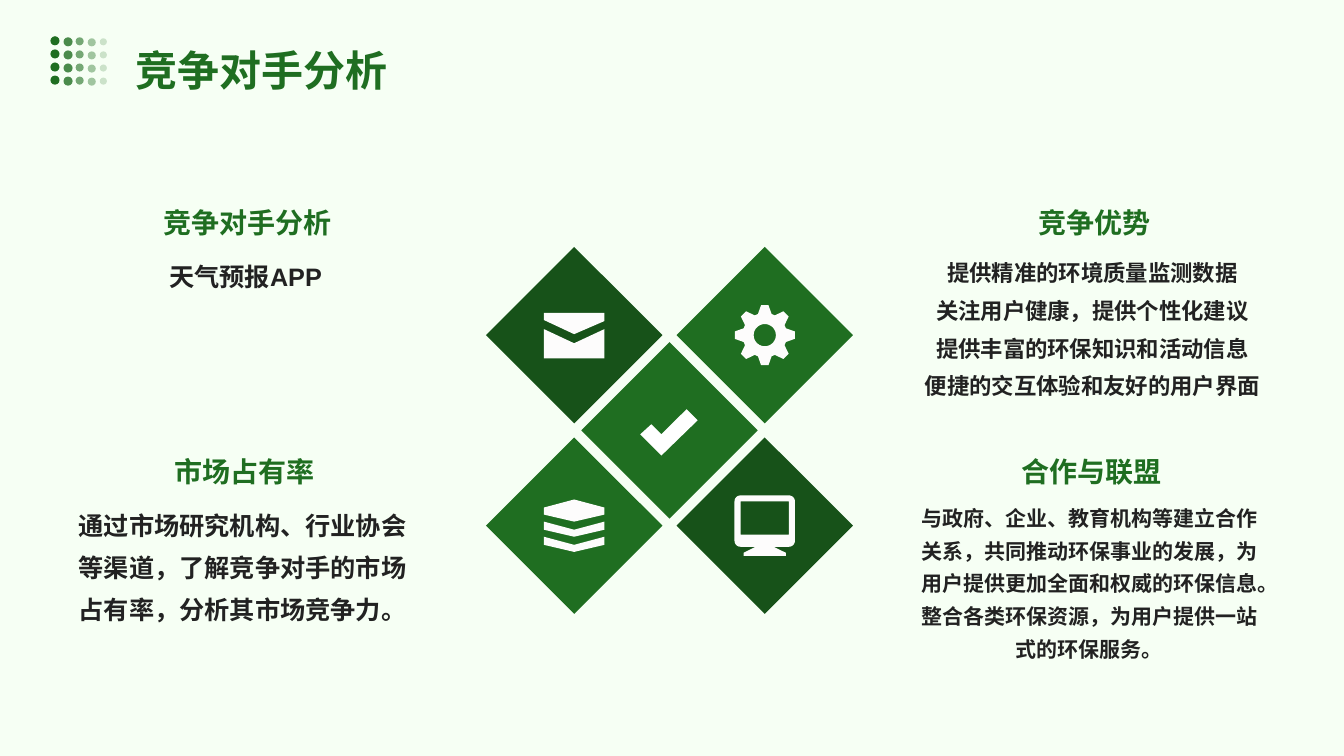
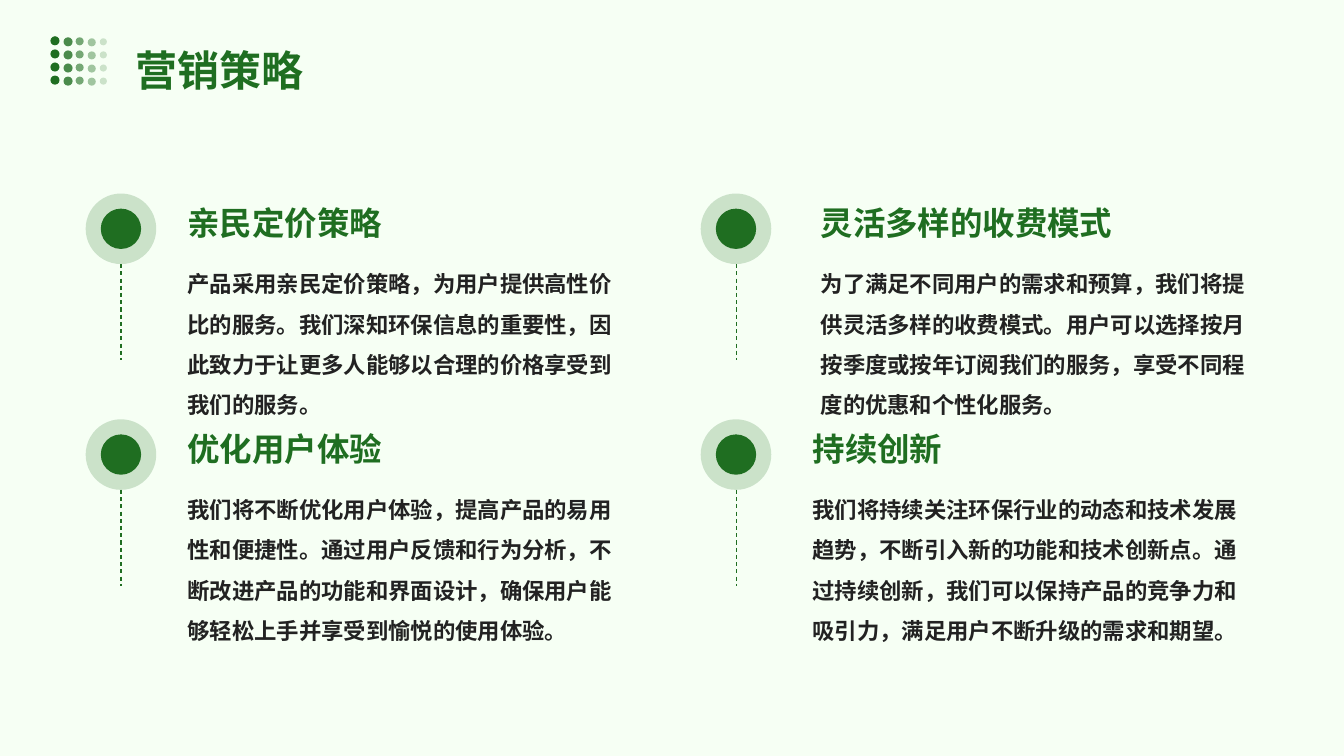
from math import cos, radians, sin

from lxml import etree
from pptx import Presentation
from pptx.dml.color import RGBColor
from pptx.enum.dml import MSO_LINE
from pptx.enum.shapes import MSO_CONNECTOR, MSO_SHAPE
from pptx.enum.text import MSO_ANCHOR, MSO_AUTO_SIZE, PP_ALIGN
from pptx.oxml.ns import qn
from pptx.util import Inches, Pt

OVAL, DIAMOND = MSO_SHAPE.OVAL, MSO_SHAPE.DIAMOND
STRAIGHT, DASH = MSO_CONNECTOR.STRAIGHT, MSO_LINE.DASH
LEFT, CENTER = PP_ALIGN.LEFT, PP_ALIGN.CENTER
TOP, MIDDLE = MSO_ANCHOR.TOP, MSO_ANCHOR.MIDDLE
GROW, FIXED = MSO_AUTO_SIZE.SHAPE_TO_FIT_TEXT, MSO_AUTO_SIZE.NONE

PAPER, GREEN, DARK_GREEN = "F6FFF4", "1F6E21", "175219"
INK, ICON, WHITE = "222222", "FDFCFC", "FFFFFF"
HEAD_FONT, BODY_FONT = "Noto Sans CJK JP", "Noto Sans CJK SC"
ROOMY = (0.14, 0.14, 0.06, 0.14)
SNUG = (0.1, 0.05, 0.1, 0.05)


def color(hex_string):
    return RGBColor.from_string(hex_string)


def write(frame, text, *, size, ink=INK, latin=BODY_FONT, asian=BODY_FONT,
          spacing=1.0, align=LEFT):
    """Write each line of the text as one bold paragraph."""
    for number, line in enumerate(text.split("\n")):
        paragraph = frame.add_paragraph() if number else frame.paragraphs[0]
        paragraph.alignment, paragraph.line_spacing = align, spacing
        run = paragraph.add_run()
        run.text = line
        run.font.size, run.font.bold, run.font.name = Pt(size), True, latin
        run.font.color.rgb = color(ink)
        etree.SubElement(run.font._element, qn("a:ea"), typeface=asian)


def arc(x, y, radius, start, stop, steps):
    angles = [radians(start + (stop - start) * i / steps) for i in range(steps + 1)]
    return [(x + radius * cos(a), y + radius * sin(a)) for a in angles]


class Deck:
    def __init__(self):
        self.file = Presentation()
        self.file.slide_width, self.file.slide_height = Inches(13.33), Inches(7.5)
        self.slide = None

    def new_slide(self, title):
        self.slide = self.file.slides.add_slide(self.file.slide_layouts[6])
        self.slide.background.fill.solid()
        self.slide.background.fill.fore_color.rgb = color(PAPER)
        self.dot_grid()
        self.text(title, 1.2, 0.1, 10.94, 0.92, margins=ROOMY, fit=GROW, size=30,
                  ink=GREEN, latin=HEAD_FONT, asian=HEAD_FONT, spacing=1.4)

    def dot_grid(self):
        dots = self.slide.shapes.add_group_shape().shapes
        columns = [(0.5, 0.36, 0.09), (0.63, 0.37, 0.09), (0.75, 0.37, 0.08),
                   (0.87, 0.38, 0.08), (0.99, 0.38, 0.07)]
        for row in range(4):
            for column, (x, y, size) in enumerate(columns):
                self.shape(OVAL, x, y + 0.13 * row, size, GREEN,
                           opacity=100 - 20 * column, parent=dots)

    def paint(self, shape, fill, opacity=100):
        shape.shadow.inherit = False
        shape.fill.solid()
        shape.fill.fore_color.rgb = color(fill)
        shape.line.fill.background()
        if opacity < 100:
            for tint in shape.element.spPr.iter(qn("a:srgbClr")):
                etree.SubElement(tint, qn("a:alpha"), val=str(opacity * 1000))

    def shape(self, preset, x, y, size, fill, opacity=100, parent=None):
        shapes = self.slide.shapes if parent is None else parent
        self.paint(shapes.add_shape(preset, Inches(x), Inches(y), Inches(size),
                                    Inches(size)), fill, opacity)

    def icon(self, x, y, contours, fill=ICON):
        """Draw closed contours given relative to the centre (x, y)."""
        placed = [[(Inches(x + dx), Inches(y + dy)) for dx, dy in contour]
                  for contour in contours]
        builder = self.slide.shapes.build_freeform(*placed[0][0])
        for number, contour in enumerate(placed):
            if number:
                builder.move_to(*contour[0])
            builder.add_line_segments(contour[1:], close=True)
        self.paint(builder.convert_to_shape(), fill)

    def text(self, text, x, y, width, height, margins=SNUG, anchor=TOP, fit=FIXED,
             **style):
        frame = self.slide.shapes.add_textbox(
            Inches(x), Inches(y), Inches(width), Inches(height)).text_frame
        frame.word_wrap, frame.auto_size = True, fit
        frame.vertical_anchor = anchor
        (frame.margin_left, frame.margin_top,
         frame.margin_right, frame.margin_bottom) = map(Inches, margins)
        write(frame, text, **style)

    def dashed_line(self, x, top, bottom):
        line = self.slide.shapes.add_connector(
            STRAIGHT, Inches(x), Inches(top), Inches(x), Inches(bottom))
        line.line.color.rgb = color(GREEN)
        line.line.width, line.line.dash_style = Pt(0.75), DASH
        etree.SubElement(line.element.spPr, qn("a:effectLst"))


# Icon outlines, relative to their centres
def envelope():
    return [[(0, -0.01), (0.3, -0.14), (0.3, -0.22), (-0.3, -0.22), (-0.3, -0.15)],
            [(0, 0.08), (-0.3, -0.06), (-0.3, 0.23), (0.3, 0.23), (0.3, -0.06)]]


def gear():
    teeth = []
    for tooth in range(0, 360, 45):
        for radius, offset in ((0.22, -18), (0.3, -7), (0.3, 7), (0.22, 18)):
            teeth += arc(0, 0, radius, tooth + offset, tooth + offset, 1)[:1]
    return [teeth, arc(0, 0, 0.11, 0, 360, 36)]


def layers():
    top = [(-0.3, -0.18), (0, -0.26), (0.3, -0.18), (0.3, -0.11), (0, -0.04),
           (-0.3, -0.11)]
    bands = [[(-0.3, y), (0, y + 0.08), (0.3, y), (0.3, y + 0.08), (0, y + 0.15),
              (-0.3, y + 0.08)] for y in (-0.04, 0.11)]
    return [top, *bands]


def monitor():
    right = [*arc(0.24, -0.24, 0.06, -90, 0, 6), *arc(0.24, 0.15, 0.06, 0, 90, 6),
             (0.09, 0.21), (0.21, 0.27), (0.21, 0.3)]
    screen = [(-0.24, -0.24), (0.24, -0.24), (0.24, 0.09), (-0.24, 0.09)]
    return [right + [(-x, y) for x, y in reversed(right)], screen]


def check():
    return [[(-0.18, -0.06), (-0.29, 0.04), (-0.08, 0.25), (0.28, -0.1),
             (0.17, -0.21), (-0.08, 0.04)]]


def competitor_slide(deck):
    deck.new_slide("竞争对手分析")

    # Five diamonds in a cross, each with its icon
    middle_x, middle_y, step, size = 6.64, 4.27, 0.945, 1.75
    tiles = [(0, 0, GREEN, check, WHITE), (-1, -1, DARK_GREEN, envelope, ICON),
             (1, 1, DARK_GREEN, monitor, ICON), (1, -1, GREEN, gear, ICON),
             (-1, 1, GREEN, layers, ICON)]
    for column, row, fill, outline, icon_fill in tiles:
        x, y = middle_x + column * step, middle_y + row * step
        deck.shape(DIAMOND, x - size / 2, y - size / 2, size, fill)
        deck.icon(x, y, outline(), icon_fill)

    # Four topics around the cross
    topics = [
        (0.66, 1.87, "竞争对手分析", "天气预报APP",
         dict(size=18, spacing=1.4, latin="Arial")),
        (0.63, 4.34, "市场占有率",
         "通过市场研究机构、行业协会等渠道，了解竞争对手的市场占有率，分析其市场竞争力。",
         dict(size=18, spacing=1.4)),
        (9.06, 1.87, "竞争优势",
         "提供精准的环境质量监测数据\n关注用户健康，提供个性化建议\n"
         "提供丰富的环保知识和活动信息\n便捷的交互体验和友好的用户界面",
         dict(size=16, spacing=1.4)),
        (9.03, 4.34, "合作与联盟",
         "与政府、企业、教育机构等建立合作关系，共同推动环保事业的发展，"
         "为用户提供更加全面和权威的环保信息。整合各类环保资源，"
         "为用户提供一站式的环保服务。",
         dict(size=15, spacing=1.3)),
    ]
    for x, y, heading, body, style in topics:
        deck.text(heading, x, y, 3.59, 0.61, anchor=MIDDLE, size=20, ink=GREEN,
                  latin=HEAD_FONT, asian=HEAD_FONT, spacing=1.2, align=CENTER)
        deck.text(body, x - 0.02, y + 0.55, 3.59, 1.77, align=CENTER, **style)


def marketing_slide(deck):
    deck.new_slide("营销策略")
    upper, lower = 1.92, 4.16
    strategies = [
        (0.85, upper, 1.72, "亲民定价策略",
         "产品采用亲民定价策略，为用户提供高性价比的服务。我们深知环保信息的重要性，"
         "因此致力于让更多人能够以合理的价格享受到我们的服务。"),
        (0.85, lower, 1.72, "优化用户体验",
         "我们将不断优化用户体验，提高产品的易用性和便捷性。通过用户反馈和行为分析，"
         "不断改进产品的功能和界面设计，确保用户能够轻松上手并享受到愉悦的使用体验。"),
        (6.95, upper, 8.0, "灵活多样的收费模式",
         "为了满足不同用户的需求和预算，我们将提供灵活多样的收费模式。"
         "用户可以选择按月按季度或按年订阅我们的服务，享受不同程度的优惠和个性化服务。"),
        (6.95, lower, 7.92, "持续创新",
         "我们将持续关注环保行业的动态和技术发展趋势，不断引入新的功能和技术创新点。"
         "通过持续创新，我们可以保持产品的竞争力和吸引力，满足用户不断升级的需求和期望。"),
    ]
    for x, y, text_x, heading, body in strategies:
        # Marker with its dashed stem
        deck.shape(OVAL, x, y, 0.7, GREEN, opacity=20)
        deck.shape(OVAL, x + 0.15, y + 0.15, 0.4, GREEN)
        deck.dashed_line(x + 0.35, y + 0.7, y + 1.65)
        # Heading and explanation
        deck.text(heading, text_x, y - 0.12, 5, 0.72, margins=ROOMY, fit=GROW,
                  size=23.2, ink=GREEN, latin=HEAD_FONT, asian=HEAD_FONT, spacing=1.2)
        deck.text(body, text_x, y + 0.49, 4.5, 1.83, margins=ROOMY, fit=GROW,
                  size=16, spacing=1.5)


def main():
    deck = Deck()
    competitor_slide(deck)
    marketing_slide(deck)
    deck.file.save("out.pptx")


if __name__ == "__main__":
    main()
